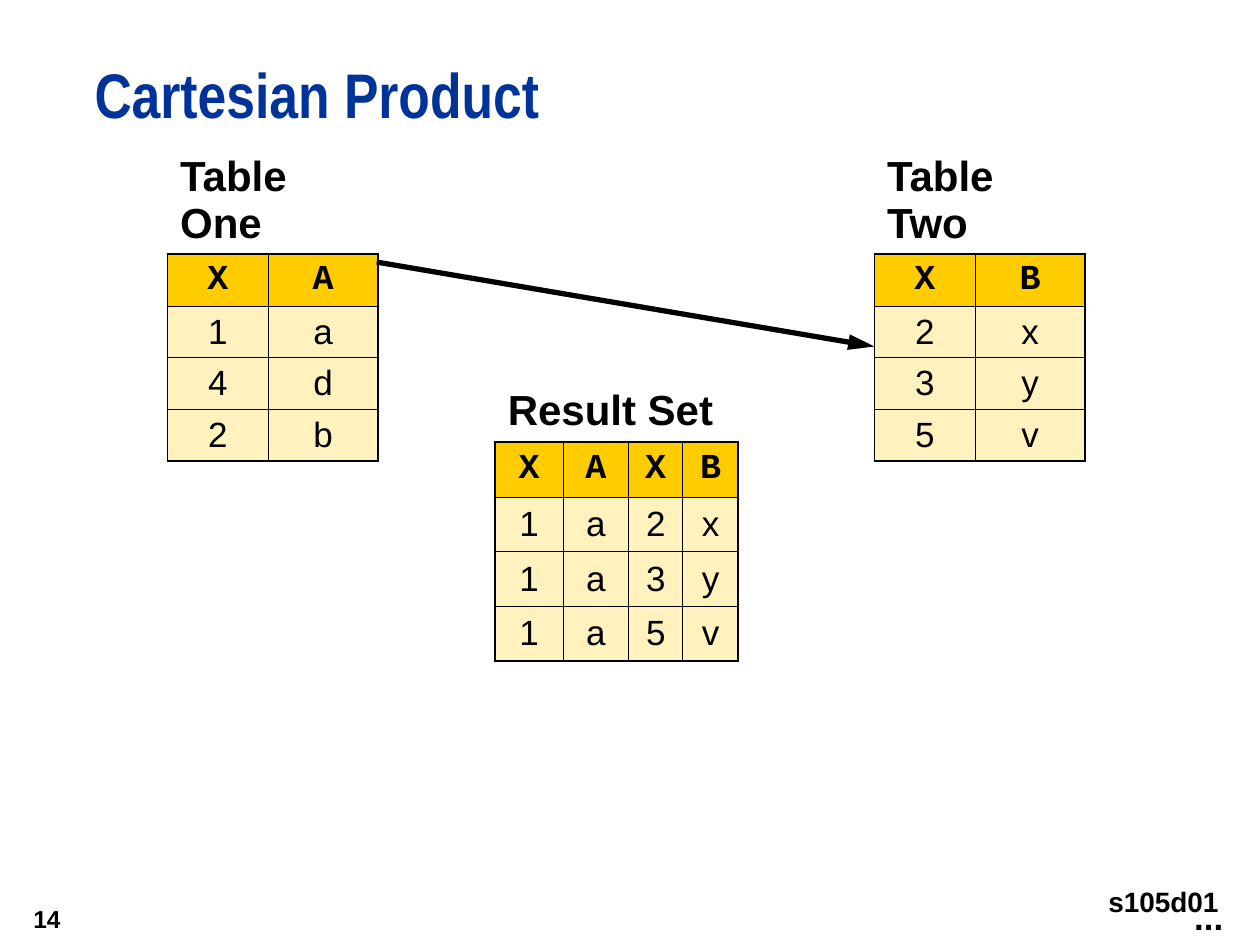
from dataclasses import dataclass

from lxml import etree
from pptx import Presentation
from pptx.dml.color import RGBColor
from pptx.enum.shapes import MSO_CONNECTOR
from pptx.enum.text import MSO_ANCHOR, MSO_AUTO_SIZE, PP_ALIGN
from pptx.oxml.ns import qn
from pptx.util import Inches, Pt

LEFT, CENTER, RIGHT = PP_ALIGN.LEFT, PP_ALIGN.CENTER, PP_ALIGN.RIGHT
TOP, MIDDLE = MSO_ANCHOR.TOP, MSO_ANCHOR.MIDDLE
STRAIGHT = MSO_CONNECTOR.STRAIGHT
NO_AUTOFIT, GROW = MSO_AUTO_SIZE.NONE, MSO_AUTO_SIZE.SHAPE_TO_FIT_TEXT

BLACK, TITLE_BLUE = "000000", "003399"
HEADER_GOLD, BODY_CREAM = "FFCC00", "FFF2BE"
THICK, THIN, NO_BORDER = 1.08, 0.45, 0


@dataclass
class DataTable:
    caption: str
    left: float
    top: float
    column_widths: list[float]
    row_heights: list[float]
    rows: list[str]


@dataclass
class Label:
    text: str
    left: float
    top: float
    width: float
    height: float
    size: int
    align: PP_ALIGN
    anchor: MSO_ANCHOR = TOP
    vertical_margin: float = 0.05
    auto_size: MSO_AUTO_SIZE = GROW


TABLE_ONE = DataTable("Table One", 1.33, 1.17, [0.8, 0.87],
                      [0.4, 0.33, 0.33, 0.33, 0.35], ["XA", "1a", "4d", "2b"])
TABLE_TWO = DataTable("Table Two", 6.94, 1.17, [0.8, 0.87],
                      [0.4] + [0.34] * 4, ["XB", "2x", "3y", "5v"])
RESULT_SET = DataTable("Result Set", 3.93, 3.01, [0.54, 0.52, 0.43, 0.44],
                       [0.4] + [0.33] * 4, ["XAXB", "1a2x", "1a3y", "1a5v"])

PAGE_NUMBER = Label("14", 0, 7.08, 0.58, 0.42, 14, RIGHT, MIDDLE, auto_size=NO_AUTOFIT)
CONTINUATION = Label("...", 9.38, 7.06, 0.43, 0.44, 20, LEFT)
PROGRAM_NAME = Label("s105d01", 8.67, 6.92, 1.1, 0.46, 16, RIGHT, vertical_margin=0.1)


def color(value: str) -> RGBColor:
    return RGBColor.from_string(value)


def format_paragraph(paragraph, size: int, font: str = "Arial", bold: bool = True,
                     align: PP_ALIGN = LEFT, text_color: str = BLACK) -> None:
    paragraph.alignment = align
    paragraph.font.size = Pt(size)
    paragraph.font.name = font
    paragraph.font.bold = bold
    paragraph.font.color.rgb = color(text_color)


def set_borders(cell, left: float, right: float, top: float, bottom: float) -> None:
    """Border widths are in points; zero hides the border."""
    properties = cell._tc.get_or_add_tcPr()
    for side, width in zip("LRTB", (left, right, top, bottom)):
        line = etree.SubElement(properties, qn(f"a:ln{side}"), w=str(Pt(width)))
        if width:
            fill = etree.SubElement(line, qn("a:solidFill"))
            etree.SubElement(fill, qn("a:srgbClr"), val=BLACK)
        else:
            etree.SubElement(line, qn("a:noFill"))


def add_caption(table, caption: str) -> None:
    cells = list(table.rows[0].cells)
    cells[0].merge(cells[-1])
    for cell in cells:
        set_borders(cell, NO_BORDER, NO_BORDER, NO_BORDER, THICK)
        cell.fill.background()
    cells[0].text = caption
    cells[0].vertical_anchor = MIDDLE
    format_paragraph(cells[0].text_frame.paragraphs[0], 24)


def add_data_table(slide, data: DataTable) -> None:
    columns, rows = len(data.column_widths), len(data.row_heights)
    frame = slide.shapes.add_table(
        rows, columns, Inches(data.left), Inches(data.top),
        Inches(sum(data.column_widths)), Inches(sum(data.row_heights)))
    table = frame.table
    table.first_row = table.horz_banding = False
    for column, width in zip(table.columns, data.column_widths):
        column.width = Inches(width)
    for row, height in zip(table.rows, data.row_heights):
        row.height = Inches(height)

    add_caption(table, data.caption)
    for row_index, values in enumerate(data.rows, start=1):
        is_header = row_index == 1
        for column_index, value in enumerate(values):
            cell = table.cell(row_index, column_index)
            set_borders(cell,
                        THICK if column_index == 0 else THIN,
                        THICK if column_index == columns - 1 else THIN,
                        THICK if is_header else THIN,
                        THICK if row_index == rows - 1 else THIN)
            cell.fill.solid()
            cell.fill.fore_color.rgb = color(HEADER_GOLD if is_header else BODY_CREAM)
            cell.vertical_anchor = MIDDLE
            cell.text = value
            format_paragraph(cell.text_frame.paragraphs[0], 20,
                             "Courier New" if is_header else "Arial", is_header, CENTER)


def add_label(slide, label: Label) -> None:
    box = slide.shapes.add_textbox(Inches(label.left), Inches(label.top),
                                   Inches(label.width), Inches(label.height))
    frame = box.text_frame
    frame.word_wrap = False
    frame.auto_size = label.auto_size
    frame.vertical_anchor = label.anchor
    frame.margin_top = frame.margin_bottom = Inches(label.vertical_margin)
    frame.text = label.text
    format_paragraph(frame.paragraphs[0], label.size, align=label.align)


def add_arrow(slide, start: tuple[float, float], end: tuple[float, float]) -> None:
    arrow = slide.shapes.add_connector(
        STRAIGHT, *(Inches(length) for length in start + end))
    arrow.line.width = Pt(3)
    arrow.line.color.rgb = color(BLACK)
    etree.SubElement(arrow.line._get_or_add_ln(), qn("a:tailEnd"),
                     type="triangle", len="lg")
    etree.SubElement(arrow._element.spPr, qn("a:effectLst"))


def set_title(slide, text: str) -> None:
    title = slide.shapes.title
    title.left, title.top = Inches(0.75), Inches(0.5)
    title.width, title.height = Inches(9.25), Inches(0.75)
    frame = title.text_frame
    frame.margin_left = frame.margin_right = frame.margin_top = frame.margin_bottom = 0
    frame.vertical_anchor = TOP
    frame.auto_size = NO_AUTOFIT
    frame.text = text
    paragraph = frame.paragraphs[0]
    paragraph.line_spacing = Pt(39)
    format_paragraph(paragraph, 36, "Arial Narrow", text_color=TITLE_BLUE)


def main() -> None:
    presentation = Presentation()
    presentation.slide_width, presentation.slide_height = Inches(10), Inches(7.5)
    slide = presentation.slides.add_slide(presentation.slide_layouts.get_by_name("Title Only"))
    set_title(slide, "Cartesian Product")
    add_data_table(slide, TABLE_ONE)
    add_data_table(slide, TABLE_TWO)
    add_label(slide, PAGE_NUMBER)
    add_label(slide, CONTINUATION)
    add_data_table(slide, RESULT_SET)
    add_arrow(slide, (2.99, 2.08), (6.94, 2.75))
    add_label(slide, PROGRAM_NAME)
    presentation.save("out.pptx")


if __name__ == "__main__":
    main()
